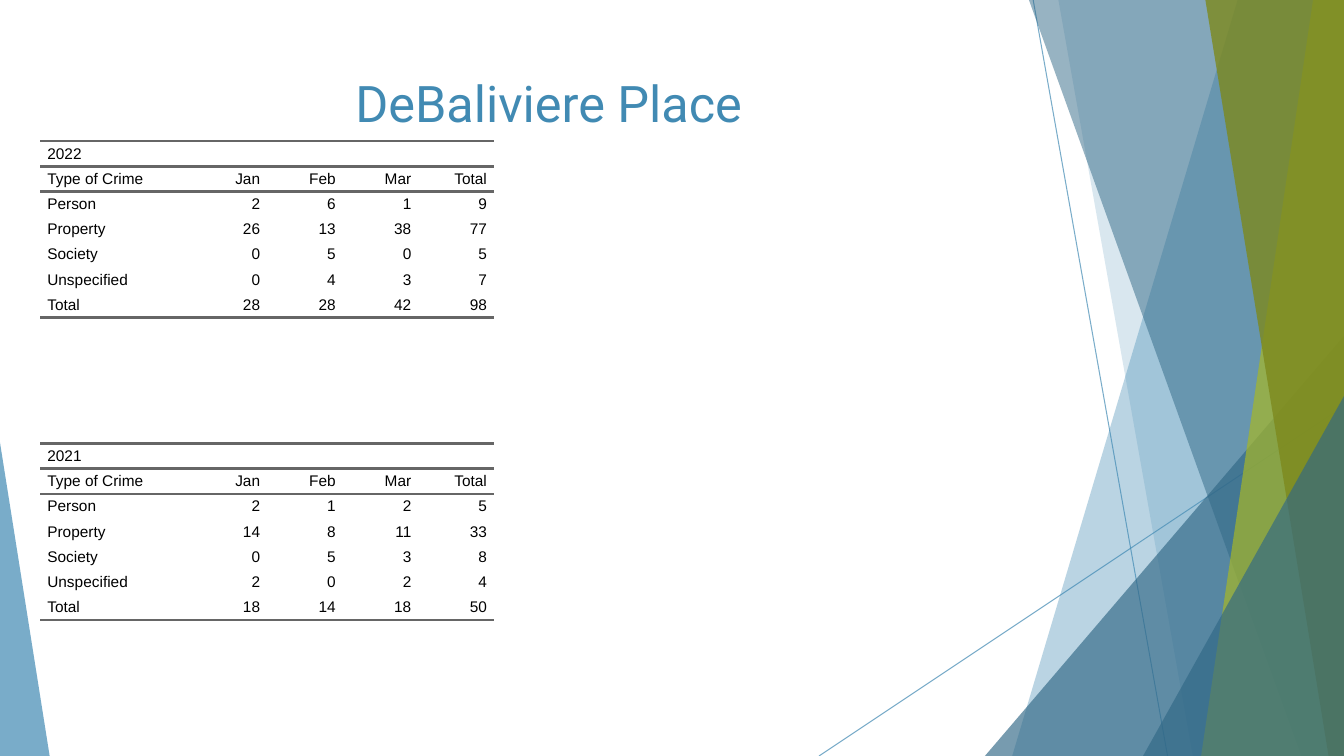
from lxml import etree
from pptx import Presentation
from pptx.dml.color import RGBColor
from pptx.enum.shapes import MSO_CONNECTOR, MSO_SHAPE
from pptx.enum.text import MSO_ANCHOR, PP_ALIGN
from pptx.oxml.ns import qn
from pptx.util import Pt

STRAIGHT = MSO_CONNECTOR.STRAIGHT
TRIANGLE = MSO_SHAPE.ISOSCELES_TRIANGLE
TOP, MIDDLE = MSO_ANCHOR.TOP, MSO_ANCHOR.MIDDLE
LEFT, CENTER, RIGHT = PP_ALIGN.LEFT, PP_ALIGN.CENTER, PP_ALIGN.RIGHT

BLUE = RGBColor(0x41, 0x8A, 0xB3)
DARK_BLUE = RGBColor(0x31, 0x68, 0x86)
LIME = RGBColor(0xA6, 0xB7, 0x27)
OLIVE = RGBColor(0x7D, 0x89, 0x1D)
RULE_GRAY = RGBColor(0x66, 0x66, 0x66)
BLACK = RGBColor(0, 0, 0)

SLIDE_W, SLIDE_H = 960, 540
NO_STYLE = "{2D5ABB26-0587-4C30-8999-92F81FD0307C}"
COLUMN_WIDTHS = [108, 54, 54, 54, 54]
ROW_HEIGHT = 18

HEADINGS = ["Type of Crime", "Jan", "Feb", "Mar", "Total"]
CRIMES_2022 = [
    ["Person", 2, 6, 1, 9],
    ["Property", 26, 13, 38, 77],
    ["Society", 0, 5, 0, 5],
    ["Unspecified", 0, 4, 3, 7],
    ["Total", 28, 28, 42, 98],
]
CRIMES_2021 = [
    ["Person", 2, 1, 2, 5],
    ["Property", 14, 8, 11, 33],
    ["Society", 0, 5, 3, 8],
    ["Unspecified", 2, 0, 2, 4],
    ["Total", 18, 14, 18, 50],
]


def set_format(target, values):
    for name, value in values.items():
        setattr(target, name, value)


def set_alpha(fill_format_xml, percent):
    color = next(fill_format_xml.iter(qn("a:srgbClr")))
    etree.SubElement(color, qn("a:alpha"), val=str(percent * 1000))


def paint(sp, color, opacity):
    sp.shadow.inherit = False
    sp.fill.solid()
    sp.fill.fore_color.rgb = color
    sp.line.fill.background()
    set_alpha(sp._element.spPr, opacity)


def add_thin_line(s, x1, y1, x2, y2):
    line = s.shapes.add_connector(STRAIGHT, Pt(x1), Pt(y1), Pt(x2), Pt(y2))
    line.line.color.rgb = BLUE
    line.line.width = Pt(0.75)
    set_alpha(line._element.spPr, 70)
    etree.SubElement(line._element.spPr, qn("a:effectLst"))


def add_right_band(s, top_x, bottom_x, color, opacity):
    """Fill from a slanted left edge to the right side of the slide."""
    builder = s.shapes.build_freeform(Pt(top_x), 0)
    corners = [(SLIDE_W, 0), (SLIDE_W, SLIDE_H), (bottom_x, SLIDE_H)]
    builder.add_line_segments([(Pt(x), Pt(y)) for x, y in corners], close=True)
    paint(builder.convert_to_shape(), color, opacity)


def add_corner_triangle(s, left, top, width, apex, color, opacity):
    """Triangle standing on the bottom edge; apex runs from 0 (left) to 1."""
    sp = s.shapes.add_shape(TRIANGLE, Pt(left), Pt(top), Pt(width), Pt(SLIDE_H - top))
    sp.adjustments[0] = apex
    paint(sp, color, opacity)


def add_decoration(s):
    add_thin_line(s, 738, 0, 834, SLIDE_H)
    add_thin_line(s, SLIDE_W, 290, 585, SLIDE_H)
    add_right_band(s, 884, 723, BLUE, 36)
    add_right_band(s, 756, 852, BLUE, 20)
    add_corner_triangle(s, 703.5, 240, 256.5, 1, DARK_BLUE, 66)
    add_right_band(s, 735, 929.5, DARK_BLUE, 50)
    add_right_band(s, 938, 858, LIME, 70)
    add_right_band(s, 861, 949, OLIVE, 80)
    add_corner_triangle(s, 816.5, 283, 143.5, 1, DARK_BLUE, 66)
    add_corner_triangle(s, 0, 316, 35.5, 0, BLUE, 70)


def set_title(s, text):
    title = s.shapes.title
    set_format(title, {"left": Pt(53.5), "top": Pt(48), "width": Pt(677), "height": Pt(104)})
    tf = title.text_frame
    tf.text = text
    set_format(tf, {"vertical_anchor": TOP, "word_wrap": True})
    p = tf.paragraphs[0]
    p.alignment = CENTER
    set_format(p.font, {"size": Pt(36), "name": "Roboto"})
    p.font.color.rgb = BLUE


def add_rules(cell, sides):
    """Draw gray borders on the given sides, "T" and "B" in that order."""
    tcPr = cell._tc.get_or_add_tcPr()
    for i, side in enumerate(sides):
        ln = etree.Element(qn("a:ln" + side), w=str(Pt(2)))
        fill = etree.SubElement(ln, qn("a:solidFill"))
        etree.SubElement(fill, qn("a:srgbClr"), val=str(RULE_GRAY))
        tcPr.insert(i, ln)


def write_cell(cell, value, alignment):
    cell.fill.background()
    set_format(cell, {
        "margin_left": Pt(5), "margin_right": Pt(5),
        "margin_top": 0, "margin_bottom": 0, "vertical_anchor": MIDDLE,
    })
    cell.text = str(value)
    p = cell.text_frame.paragraphs[0]
    p.alignment = alignment
    set_format(p.font, {"size": Pt(11), "name": "Arial"})
    p.font.color.rgb = BLACK


def add_crime_table(s, top, year, crimes):
    rows = [[year, "", "", "", ""], HEADINGS] + crimes
    frame = s.shapes.add_table(
        len(rows), len(HEADINGS), Pt(28.8), Pt(top),
        Pt(sum(COLUMN_WIDTHS)), Pt(ROW_HEIGHT * len(rows)))
    table = frame.table
    set_format(table, {"first_row": False, "horz_banding": False})
    table._tbl.tblPr.find(qn("a:tableStyleId")).text = NO_STYLE
    for column, width in zip(table.columns, COLUMN_WIDTHS):
        column.width = Pt(width)
    rules = {0: "TB", 1: "TB", len(rows) - 1: "B"}
    for i, values in enumerate(rows):
        table.rows[i].height = Pt(ROW_HEIGHT)
        for j, value in enumerate(values):
            cell = table.cell(i, j)
            write_cell(cell, value, RIGHT if j else LEFT)
            add_rules(cell, rules.get(i, ""))
    table.cell(0, 0).merge(table.cell(0, len(HEADINGS) - 1))


def main():
    prs = Presentation()
    set_format(prs, {"slide_width": Pt(SLIDE_W), "slide_height": Pt(SLIDE_H)})
    s = prs.slides.add_slide(prs.slide_layouts[5])
    add_decoration(s)
    add_crime_table(s, 100.8, "2022", CRIMES_2022)
    add_crime_table(s, 316.8, "2021", CRIMES_2021)
    set_title(s, "DeBaliviere Place")
    prs.save("out.pptx")


if __name__ == "__main__":
    main()
